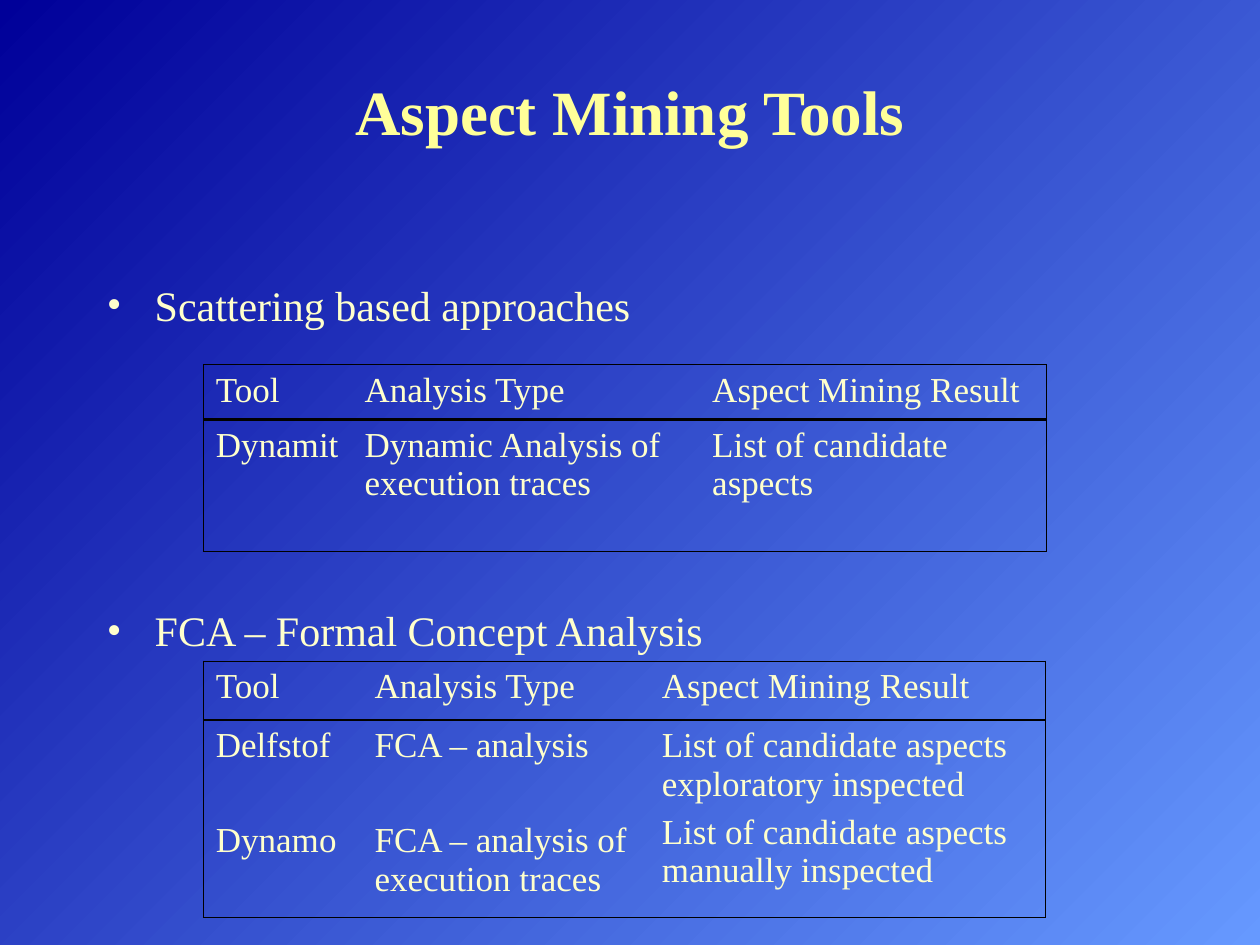
from lxml import etree
from pptx import Presentation
from pptx.dml.color import RGBColor
from pptx.enum.text import MSO_ANCHOR, PP_ALIGN
from pptx.oxml.ns import qn
from pptx.util import Inches, Pt

CENTER, LEFT = PP_ALIGN.CENTER, PP_ALIGN.LEFT
TOP, MIDDLE = MSO_ANCHOR.TOP, MSO_ANCHOR.MIDDLE

NAVY = RGBColor(0x00, 0x00, 0x99)
SKY = RGBColor(0x66, 0x99, 0xFF)
YELLOW = RGBColor(0xFF, 0xFF, 0x99)
CREAM = RGBColor(0xFF, 0xFF, 0xCC)
BLACK = RGBColor(0x00, 0x00, 0x00)

FONT = "Times New Roman"
COLUMNS, ROWS = 100, 75  # grid of square units over the slide
UNIT = Inches(0.1)
THIN, THICK = 0.45, 1.47
HEADINGS = ["Tool", "Analysis Type", "Aspect Mining Result"]


def grid(*units):
    """Turn grid columns or rows into lengths."""
    return [round(unit * UNIT) for unit in units]


def write(paragraph, text, size=20, color=CREAM, bold=False, align=LEFT, before=0):
    paragraph.alignment = align
    paragraph.space_before = Pt(before)
    run = paragraph.add_run()
    run.text = text
    run.font.name = FONT
    run.font.size = Pt(size)
    run.font.bold = bold
    run.font.color.rgb = color


def add_bullet(paragraph, indent=0.38):
    properties = paragraph._p.get_or_add_pPr()
    properties.set("marL", str(Inches(indent)))
    properties.set("indent", str(-Inches(indent)))
    etree.SubElement(properties, qn("a:buFont")).set("typeface", FONT)
    etree.SubElement(properties, qn("a:buChar")).set("char", "•")


def set_border(cell, side, width):
    """Draw one side of a cell, or hide it when width is 0."""
    line = etree.SubElement(cell._tc.get_or_add_tcPr(), qn(f"a:ln{side}"))
    line.set("w", str(Pt(width)))
    if width:
        fill = etree.SubElement(line, qn("a:solidFill"))
        etree.SubElement(fill, qn("a:srgbClr")).set("val", str(BLACK))
    else:
        etree.SubElement(line, qn("a:noFill"))


class MiningSlide:
    """Holds the current slide and places elements on the grid."""

    def __init__(self, deck):
        self.slide = deck.slides.add_slide(deck.slide_layouts[6])

    def background(self, start, end):
        fill = self.slide.background.fill
        fill.gradient()
        fill.gradient_angle = 315
        for stop, color in zip(fill.gradient_stops, (start, end)):
            stop.color.rgb = color

    def text_frame(self, *area, anchor=TOP):
        frame = self.slide.shapes.add_textbox(*grid(*area)).text_frame
        frame.word_wrap = True
        frame.vertical_anchor = anchor
        return frame

    def title(self, text, *area):
        frame = self.text_frame(*area, anchor=MIDDLE)
        write(frame.paragraphs[0], text, size=36, color=YELLOW, bold=True, align=CENTER)

    def bullets(self, items, gap, *area):
        frame = self.text_frame(*area)
        for i, item in enumerate(items):
            paragraph = frame.add_paragraph() if i else frame.paragraphs[0]
            write(paragraph, item, size=24, before=gap if i else 6)
            add_bullet(paragraph)

    def table(self, x, y, widths, heights, rows):
        """Each cell is a list of (text, space before) paragraphs."""
        area = grid(x, y, sum(widths), sum(heights))
        table = self.slide.shapes.add_table(len(rows), len(widths), *area).table
        table.first_row = table.horz_banding = False
        for column, width in zip(table.columns, grid(*widths)):
            column.width = width
        for row, height in zip(table.rows, grid(*heights)):
            row.height = height
        last_row, last_column = len(rows) - 1, len(widths) - 1
        for r, entries in enumerate(rows):
            for c, entry in enumerate(entries):
                cell = table.cell(r, c)
                frame = cell.text_frame
                for i, (text, before) in enumerate(entry):
                    paragraph = frame.add_paragraph() if i else frame.paragraphs[0]
                    write(paragraph, text, before=before)
                # Thin outer frame, thick rule below the headings
                set_border(cell, "L", THIN if c == 0 else 0)
                set_border(cell, "R", THIN if c == last_column else 0)
                set_border(cell, "T", THIN if r == 0 else THICK)
                set_border(cell, "B", THIN if r == last_row else THICK)
                cell.fill.background()


def single(texts):
    return [[(text, 5)] for text in texts]


def main():
    deck = Presentation()
    deck.slide_width, deck.slide_height = grid(COLUMNS, ROWS)
    page = MiningSlide(deck)
    page.background(NAVY, SKY)

    # Title and the two approaches
    page.title("Aspect Mining Tools", 7.5, 2.5, 85, 12.5)
    page.bullets(["Scattering based approaches", "FCA – Formal Concept Analysis"], 157,
                 7.5, 21.7, 85, 45)

    # Formal concept analysis tools; the wide gap aligns the second tool
    wide = 32
    fca_tools = [
        [("Delfstof", 5), ("Dynamo", wide)],
        [("FCA – analysis", 5), ("FCA – analysis of execution traces", wide)],
        [("List of candidate aspects exploratory inspected", 5),
         ("List of candidate aspects manually inspected", 5)],
    ]
    page.table(16.13, 52.45, [12.6, 22.8, 31.4], [4.7, 15.7],
               [single(HEADINGS), fca_tools])

    # Scattering based tools; the first column keeps its name on one line
    scattering_tools = ["Dynamit", "Dynamic Analysis of execution traces",
                        "List of candidate aspects"]
    page.table(16.13, 28.95, [11.8, 27.6, 27.5], [4.35, 10.5],
               [single(HEADINGS), single(scattering_tools)])

    deck.save("out.pptx")


if __name__ == "__main__":
    main()
